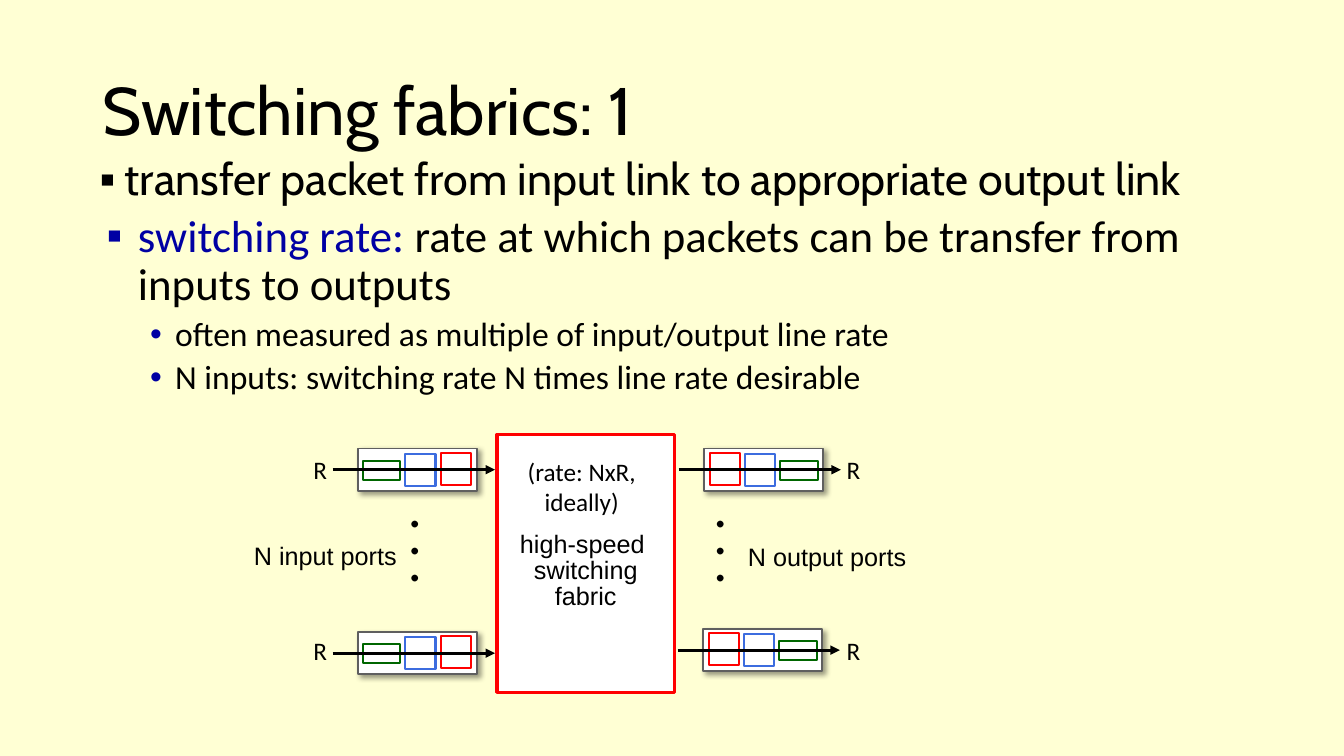
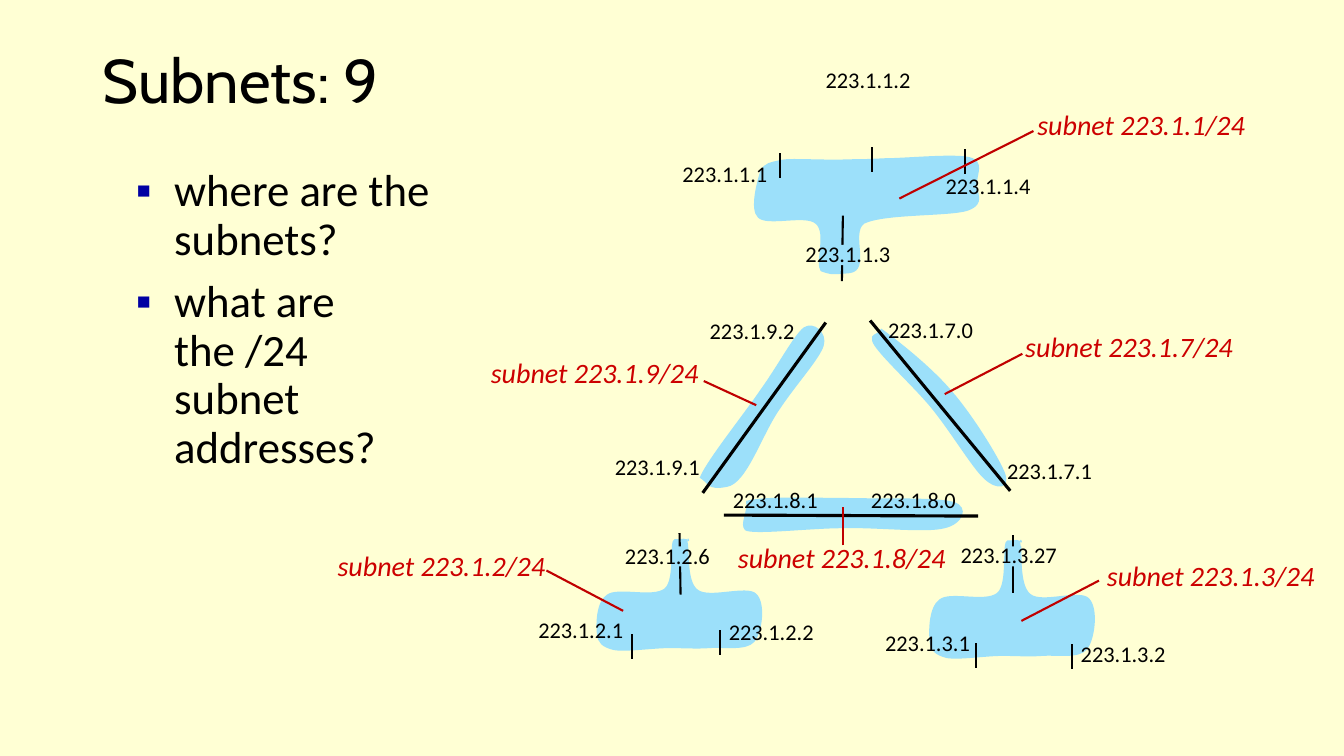
"""Build two networking slides: switching fabrics and subnets."""
from dataclasses import dataclass
from typing import NamedTuple

from lxml import etree
from pptx import Presentation
from pptx.dml.color import RGBColor
from pptx.enum.shapes import MSO_CONNECTOR, MSO_SHAPE
from pptx.enum.text import MSO_ANCHOR, MSO_AUTO_SIZE, PP_ALIGN
from pptx.oxml.ns import qn
from pptx.util import Inches, Pt

RECTANGLE = MSO_SHAPE.RECTANGLE
STRAIGHT = MSO_CONNECTOR.STRAIGHT
MIDDLE, TOP = MSO_ANCHOR.MIDDLE, MSO_ANCHOR.TOP
GROW, FIXED = MSO_AUTO_SIZE.SHAPE_TO_FIT_TEXT, MSO_AUTO_SIZE.NONE
LEFT, CENTER = PP_ALIGN.LEFT, PP_ALIGN.CENTER


@dataclass(frozen=True)
class Theme:
    background: str = "FFFFD4"
    black: str = "000000"
    white: str = "FFFFFF"
    accent: str = "0000A3"
    red: str = "FF0000"
    blue: str = "3C6CDF"
    green: str = "006600"
    gray: str = "5F5F5F"
    cloud: str = "9CE0FA"
    subnet: str = "CC0000"
    leader: str = "C00000"
    title_font: str = "Cabin"
    body_font: str = "Calibri"
    label_font: str = "Arial"
    body_size: int = 32
    detail_size: int = 24
    subnet_size: int = 20
    label_size: int = 18
    address_size: int = 16
    dots_size: int = 40


THEME = Theme()


class Box(NamedTuple):
    left: float
    top: float
    width: float
    height: float


class Line(NamedTuple):
    x1: float
    y1: float
    x2: float
    y2: float


class Style(NamedTuple):
    size: int
    font: str = THEME.body_font
    color: str = THEME.black
    italic: bool = False


class Bullet(NamedTuple):
    text: str
    margin: float
    hang: float
    lead: str = ""
    style: Style = Style(THEME.body_size)
    symbol: str = "▪"
    color: str = THEME.accent
    space: int = 10


class Blob(NamedTuple):
    start: tuple
    curves: tuple


class Subnet(NamedTuple):
    text: str
    left: float
    top: float
    leader: Line


class Address(NamedTuple):
    text: str
    left: float
    top: float


class Queue(NamedTuple):
    left: float
    top: float
    is_input: bool


QUEUE_SIZE = (1.18, 0.42)
PACKETS = (
    (THEME.green, Box(0.76, 0.12, 0.37, 0.19)),
    (THEME.blue, Box(0.41, 0.05, 0.3, 0.32)),
    (THEME.red, Box(0.06, 0.04, 0.3, 0.32)),
)
QUEUES = (Queue(6.97, 6.24, False), Queue(6.98, 4.45, False),
          Queue(3.55, 4.45, True), Queue(3.55, 6.27, True))

LOWER_LEFT = Blob((6.69, 5.35), (
    (6.63, 5.36, 6.7, 5.75, 6.59, 5.84), (6.47, 5.93, 6.13, 5.82, 6.02, 5.9),
    (5.91, 5.97, 5.91, 6.2, 5.92, 6.29), (5.93, 6.38, 5.97, 6.42, 6.09, 6.45),
    (6.21, 6.47, 6.48, 6.43, 6.64, 6.43), (6.8, 6.43, 6.9, 6.44, 7.04, 6.43),
    (7.18, 6.42, 7.4, 6.46, 7.48, 6.37), (7.56, 6.28, 7.6, 5.98, 7.5, 5.89),
    (7.41, 5.8, 7.03, 5.94, 6.92, 5.85), (6.81, 5.77, 6.84, 5.46, 6.82, 5.38),
    (6.81, 5.3, 6.85, 5.37, 6.83, 5.37), (6.81, 5.33, 6.76, 5.35, 6.69, 5.35)))
BLOBS = (
    Blob((8.65, 3.38), (
        (8.66, 3.47, 9.04, 3.81, 9.23, 4.04), (9.42, 4.27, 9.64, 4.64, 9.76, 4.75),
        (9.89, 4.87, 10.02, 4.85, 9.97, 4.7), (9.92, 4.56, 9.65, 4.12, 9.44, 3.88),
        (9.24, 3.64, 8.87, 3.35, 8.74, 3.26), (8.68, 3.35, 8.64, 3.29, 8.65, 3.38))),
    Blob((7.39, 5.26), (
        (7.46, 5.31, 8.03, 5.24, 8.36, 5.24), (8.69, 5.23, 9.19, 5.29, 9.37, 5.24),
        (9.55, 5.2, 9.62, 5.03, 9.46, 4.98), (9.29, 4.93, 8.73, 4.95, 8.39, 4.94),
        (8.05, 4.94, 7.56, 4.92, 7.4, 4.97), (7.42, 5.08, 7.33, 5.2, 7.39, 5.26))),
    Blob((7.21, 4.83), (
        (7.41, 4.8, 7.56, 4.3, 7.74, 4.05), (7.9, 3.81, 8.13, 3.56, 8.17, 3.43),
        (8.21, 3.3, 8.07, 3.18, 7.97, 3.25), (7.87, 3.33, 7.72, 3.62, 7.54, 3.87),
        (7.37, 4.12, 7, 4.58, 6.94, 4.74), (7.03, 4.79, 7.01, 4.87, 7.21, 4.83))),
    Blob((8.43, 2.71), (
        (8.64, 2.68, 8.44, 2.32, 8.57, 2.22), (8.77, 2.12, 9.42, 2.15, 9.6, 2.09),
        (9.79, 2.02, 9.68, 1.91, 9.69, 1.82), (9.69, 1.73, 9.77, 1.6, 9.62, 1.56),
        (9.47, 1.52, 8.98, 1.57, 8.78, 1.57), (8.57, 1.58, 8.52, 1.58, 8.4, 1.58),
        (8.28, 1.59, 8.16, 1.58, 8.05, 1.58), (7.94, 1.58, 7.81, 1.57, 7.73, 1.59),
        (7.65, 1.61, 7.58, 1.61, 7.54, 1.7), (7.51, 1.8, 7.43, 2.08, 7.52, 2.16),
        (7.61, 2.25, 7.99, 2.13, 8.09, 2.22), (8.2, 2.31, 8.08, 2.61, 8.14, 2.69),
        (8.23, 2.72, 8.22, 2.73, 8.43, 2.71))),
    LOWER_LEFT,
)
STEMS = (Line(8.36, 2.14, 8.35, 2.79), Line(6.74, 5.29, 6.75, 5.9),
         Line(10.05, 5.31, 10.05, 5.88))
STEM_GAPS = (Box(8.17, 2.43, 0.34, 0.2), Box(6.68, 5.42, 0.14, 0.2),
             Box(9.99, 5.42, 0.14, 0.2))
LINKS = (Line(6.97, 4.89, 8.19, 3.2), Line(10.02, 4.87, 8.63, 3.18),
         Line(9.7, 5.12, 7.18, 5.11))
TICK_LENGTH = 0.25
TICKS = ((8.65, 1.46), (7.74, 1.52), (9.57, 1.48), (10.63, 6.39),
         (9.68, 6.38), (7.14, 6.25), (6.27, 6.29))
ADDRESSES = (
    Address("223.1.1.1", 6.67, 1.54), Address("223.1.1.2", 8.09, 0.61),
    Address("223.1.1.3", 7.89, 2.33), Address("223.1.1.4", 9.28, 1.66),
    Address("223.1.2.1", 5.24, 6.06), Address("223.1.2.2", 7.13, 6.08),
    Address("223.1.2.6", 6.1, 5.33), Address("223.1.3.1", 8.68, 6.19),
    Address("223.1.3.2", 10.62, 6.3), Address("223.1.3.27", 9.43, 5.32),
    Address("223.1.7.0", 8.71, 3.09), Address("223.1.7.1", 9.89, 4.49),
    Address("223.1.8.0", 8.54, 4.77), Address("223.1.8.1", 7.17, 4.77),
    Address("223.1.9.1", 6, 4.45), Address("223.1.9.2", 6.94, 3.1),
)
SUBNETS = (
    Subnet("subnet 223.1.1/24", 10.19, 1.02, Line(10.25, 1.3, 8.92, 1.97)),
    Subnet("subnet 223.1.2/24", 3.25, 5.39, Line(5.42, 5.66, 6.18, 6.06)),
    Subnet("subnet 223.1.3/24", 10.88, 5.49, Line(10.9, 5.76, 10.13, 6.16)),
    Subnet("subnet 223.1.7/24", 10.07, 3.22, Line(10.14, 3.51, 9.37, 3.91)),
    Subnet("subnet 223.1.8/24", 7.22, 5.31, Line(8.36, 5.41, 8.36, 5.03)),
    Subnet("subnet 223.1.9/24", 4.77, 3.48, Line(6.98, 3.78, 7.5, 4.02)),
)


def rgb(color: str) -> RGBColor:
    return RGBColor.from_string(color)


def add_slide(presentation):
    slide = presentation.slides.add_slide(presentation.slide_layouts[6])
    slide.background.fill.solid()
    slide.background.fill.fore_color.rgb = rgb(THEME.background)
    return slide


def style_run(run, style: Style) -> None:
    run.font.name = style.font
    run.font.size = Pt(style.size)
    run.font.italic = style.italic
    run.font.color.rgb = rgb(style.color)


def add_text(slide, box: Box, text: str, style: Style, align=LEFT, wrap: bool = False,
             spacing: float = 1.0, anchor=TOP, auto_size=GROW):
    shape = slide.shapes.add_textbox(*map(Inches, box))
    text_frame = shape.text_frame
    text_frame.text = text
    text_frame.word_wrap = wrap
    text_frame.auto_size = auto_size
    text_frame.vertical_anchor = anchor
    for paragraph in text_frame.paragraphs:
        paragraph.alignment = align
        paragraph.line_spacing = spacing
        for run in paragraph.runs:
            style_run(run, style)
    return shape


def add_title(slide, box: Box, text: str, size: int) -> None:
    add_text(slide, box, text, Style(size, THEME.title_font), wrap=True,
             spacing=0.9, anchor=MIDDLE, auto_size=FIXED)


def add_bullets(slide, box: Box, bullets: tuple[Bullet, ...]) -> None:
    text_frame = slide.shapes.add_textbox(*map(Inches, box)).text_frame
    text_frame.word_wrap = True
    for index, bullet in enumerate(bullets):
        paragraph = text_frame.add_paragraph() if index else text_frame.paragraphs[0]
        properties = paragraph._p.get_or_add_pPr()
        properties.set("marL", str(Inches(bullet.margin)))
        properties.set("indent", str(-Inches(bullet.hang)))
        bullet_color = etree.SubElement(properties, qn("a:buClr"))
        etree.SubElement(bullet_color, qn("a:srgbClr"), val=bullet.color)
        etree.SubElement(properties, qn("a:buFont"), typeface=THEME.label_font)
        etree.SubElement(properties, qn("a:buChar"), char=bullet.symbol)
        paragraph.line_spacing = 0.9
        if index:
            paragraph.space_before = Pt(bullet.space)
        for text, color in ((bullet.lead, THEME.accent), (bullet.text, bullet.style.color)):
            if text:
                run = paragraph.add_run()
                run.text = text
                style_run(run, bullet.style._replace(color=color))


def style_shape(shape, fill: str, line: str = "", width: float = 1.5) -> None:
    shape.shadow.inherit = False
    shape.fill.solid()
    shape.fill.fore_color.rgb = rgb(fill)
    if line:
        shape.line.color.rgb = rgb(line)
        shape.line.width = Pt(width)
    else:
        shape.line.fill.background()


def add_rectangle(slide, box: Box, fill: str, line: str = "", width: float = 1.5):
    shape = slide.shapes.add_shape(RECTANGLE, *map(Inches, box))
    style_shape(shape, fill, line, width)
    return shape


def add_drop_shadow(shape) -> None:
    effects = shape._element.spPr.find(qn("a:effectLst"))
    shadow = etree.SubElement(effects, qn("a:outerShdw"), blurRad=str(Pt(4)),
                              dist=str(Pt(3)), dir=str(45 * 60000))
    color = etree.SubElement(shadow, qn("a:srgbClr"), val=THEME.black)
    etree.SubElement(color, qn("a:alpha"), val="40000")


def add_line(slide, line: Line, color: str = THEME.black, width: float = 1.5,
             arrow: bool = False) -> None:
    connector = slide.shapes.add_connector(STRAIGHT, *map(Inches, line))
    connector.line.color.rgb = rgb(color)
    connector.line.width = Pt(width)
    if arrow:
        etree.SubElement(connector.line._get_or_add_ln(), qn("a:tailEnd"), type="triangle")
    etree.SubElement(connector._element.spPr, qn("a:effectLst"))


def add_blob(slide, blob: Blob) -> None:
    builder = slide.shapes.build_freeform(*map(Inches, blob.start))
    builder.add_line_segments([(Inches(curve[index]), Inches(curve[index + 1]))
                               for curve in blob.curves for index in (0, 2, 4)], close=True)
    shape = builder.convert_to_shape()
    segments = list(shape._element.iter(qn("a:lnTo")))
    for first, second, third in zip(segments[::3], segments[1::3], segments[2::3]):
        curve = etree.Element(qn("a:cubicBezTo"))
        first.addprevious(curve)
        for segment in (first, second, third):
            curve.append(segment[0])
            segment.getparent().remove(segment)
    style_shape(shape, THEME.cloud)


def shifted(blob: Blob, right: float, down: float, stretch: float) -> Blob:
    def move(values: tuple) -> tuple:
        return tuple(value + right if index % 2 == 0 else 5.3 + down + (value - 5.3) * stretch
                     for index, value in enumerate(values))
    return Blob(move(blob.start), tuple(map(move, blob.curves)))


def add_queue(slide, queue: Queue) -> None:
    width, height = QUEUE_SIZE
    frame = Box(queue.left, queue.top, width, height)
    add_drop_shadow(add_rectangle(slide, frame, THEME.white, THEME.gray, 1.25))
    for color, packet in PACKETS:
        offset = width - packet.left - packet.width if queue.is_input else packet.left
        place = packet._replace(left=queue.left + offset, top=queue.top + packet.top)
        add_rectangle(slide, place, THEME.white, color)
    middle = queue.top + height / 2
    add_line(slide, Line(queue.left - 0.25, middle, queue.left + 1.36, middle),
             width=2.25, arrow=True)


def build_fabric_slide(presentation) -> None:
    slide = add_slide(presentation)
    label, plain = Style(THEME.label_size), Style(THEME.label_size, THEME.label_font)
    detail = Style(THEME.detail_size)
    add_bullets(slide, Box(0.89, 1.51, 12.07, 0.69), (
        Bullet("transfer packet from input link to appropriate output link", 0.25, 0.31,
               style=Style(THEME.body_size, THEME.title_font), color=THEME.black),))
    add_title(slide, Box(0.92, 0.4, 11.5, 1.45), "Switching fabrics: 1", 48)
    add_bullets(slide, Box(0.88, 2.07, 12.07, 2.53), (
        Bullet("rate at which packets can be transfer from inputs to outputs", 0.39, 0.31,
               lead="switching rate: "),
        *(Bullet(text, 0.76, 0.25, style=detail, symbol="•", space=5) for text in (
            "often measured as multiple of input/output line rate",
            "N inputs: switching rate N times line rate desirable"))))
    add_rectangle(slide, Box(4.93, 4.31, 1.76, 2.56), THEME.white, THEME.red, 2.25)
    add_text(slide, Box(5.05, 5.24, 1.52, 0.87), "high-speed \nswitching\nfabric", plain,
             CENTER, spacing=0.85)
    add_text(slide, Box(5.04, 4.48, 1.46, 0.71), "(rate: NxR, ideally)", label, CENTER, True)
    add_text(slide, Box(2.42, 5.31, 1.63, 0.4), "N input ports", plain)
    add_text(slide, Box(7.32, 5.32, 1.79, 0.4), "N output ports", plain)
    for left in (3.8, 6.83):
        dots = add_text(slide, Box(left, 5.15, 1.01, 0.77), ". . . ",
                        Style(THEME.dots_size), CENTER, True)
        dots.rotation = 90
    for queue in QUEUES:
        add_queue(slide, queue)
    for left in (3.01, 8.3):
        for top in (4.46, 6.25):
            add_text(slide, Box(left, top, 0.34, 0.4), "R", label)


def build_subnet_slide(presentation) -> None:
    slide = add_slide(presentation)
    add_title(slide, Box(0.92, 0.34, 3.98, 0.98), "Subnets: 9", 44)
    add_bullets(slide, Box(1.11, 1.62, 3.27, 3.09), tuple(
        Bullet(text, 0.52, 0.38) for text in (
            "where are the subnets?", "what are the /24 subnet addresses?")))
    for blob in (*BLOBS, shifted(LOWER_LEFT, 3.3, 0.01, 1.06)):
        add_blob(slide, blob)
    for stem in STEMS:
        add_line(slide, stem)
    for gap in STEM_GAPS:
        add_rectangle(slide, gap, THEME.cloud)
    for address in ADDRESSES:
        width = 1.05 + 0.12 * (len(address.text) - 9)
        add_text(slide, Box(address.left, address.top, width, 0.37), address.text,
                 Style(THEME.address_size))
    for link in LINKS:
        add_line(slide, link, width=2.25)
    for x, y in TICKS:
        add_line(slide, Line(x, y, x, y + TICK_LENGTH))
    for subnet in SUBNETS:
        add_text(slide, Box(subnet.left, subnet.top, 2.27, 0.44), subnet.text,
                 Style(THEME.subnet_size, color=THEME.subnet, italic=True))
        add_line(slide, subnet.leader, THEME.leader)


def main() -> None:
    presentation = Presentation()
    presentation.slide_width, presentation.slide_height = Inches(13.33), Inches(7.5)
    build_fabric_slide(presentation)
    build_subnet_slide(presentation)
    presentation.save("out.pptx")


if __name__ == "__main__":
    main()
